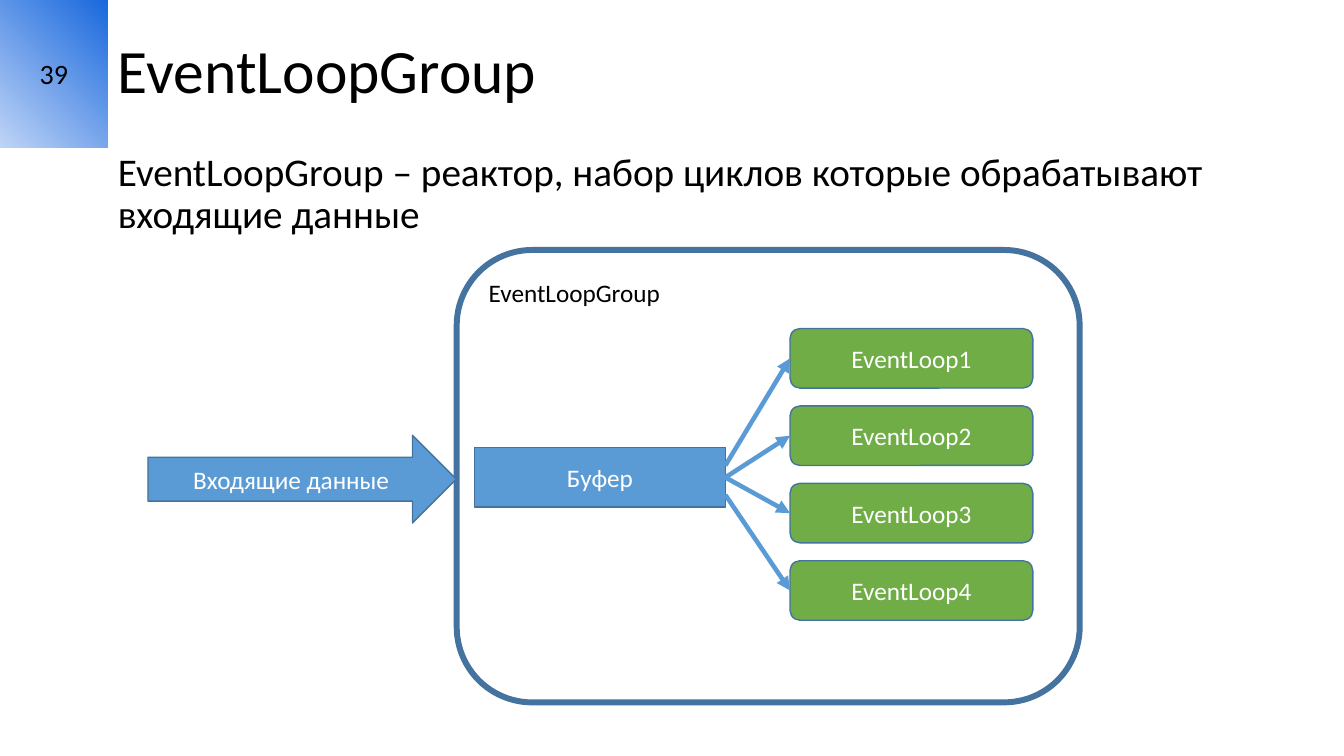
"""Build the EventLoopGroup reactor slide."""
from lxml.etree import SubElement
from pptx import Presentation
from pptx.dml.color import RGBColor
from pptx.enum.shapes import MSO_CONNECTOR, MSO_SHAPE
from pptx.enum.text import MSO_ANCHOR, PP_ALIGN
from pptx.oxml.ns import qn
from pptx.util import Cm, Pt

TITLE = "EventLoopGroup"
BODY = "EventLoopGroup – реактор, набор циклов которые обрабатывают входящие данные"
PAGE_NUMBER = "39"
GROUP = "EventLoopGroup"
INCOMING = "Входящие данные"
BUFFER = "Буфер"
LOOPS = ["EventLoop1", "EventLoop2", "EventLoop3", "EventLoop4"]
ARROW_START_OFFSETS = [-0.3, 0, 0, 0.44]

FONT = "Calibri"
BLACK = RGBColor(0x00, 0x00, 0x00)
WHITE = RGBColor(0xFF, 0xFF, 0xFF)
BLUE = RGBColor(0x5B, 0x9B, 0xD5)
OUTLINE = RGBColor(0x43, 0x73, 0x9E)
GREEN = RGBColor(0x70, 0xAD, 0x47)
BADGE_DARK = RGBColor(0x19, 0x68, 0xDD)
BADGE_LIGHT = RGBColor(0xBE, 0xD4, 0xF6)

PAGE_WIDTH, PAGE_HEIGHT = 33.87, 19.05
BADGE_WIDTH, BADGE_HEIGHT = 2.72, 3.71
TEXT_WIDTH = PAGE_WIDTH - BADGE_WIDTH
BUFFER_LEFT, BUFFER_TOP, BUFFER_WIDTH = 11.96, 11.28, 6.32
NODE_HEIGHT = 1.5
LOOP_LEFT, LOOP_TOP, LOOP_WIDTH, LOOP_PITCH = 19.91, 8.28, 6.12, 1.95


def write(box, text, size, color, align=PP_ALIGN.LEFT, anchor=MSO_ANCHOR.MIDDLE, spacing=1.0):
    frame = box.text_frame
    frame.word_wrap = True
    frame.vertical_anchor = anchor
    para = frame.paragraphs[0]
    para.alignment = align
    para.line_spacing = spacing
    span = para.add_run()
    span.text = text
    span.font.name = FONT
    span.font.size = Pt(size)
    span.font.color.rgb = color


def add_text(page, area, text, size, anchor):
    box = page.shapes.add_textbox(*map(Cm, area))
    write(box, text, size, BLACK, anchor=anchor, spacing=0.9)


def add_node(page, kind, area, fill, line_width=1):
    node = page.shapes.add_shape(kind, *map(Cm, area))
    node.shadow.inherit = False
    node.fill.solid()
    node.fill.fore_color.rgb = fill
    node.line.color.rgb = OUTLINE
    node.line.width = Pt(line_width)
    return node


def add_badge(page):
    badge = page.shapes.add_shape(
        MSO_SHAPE.RECTANGLE, 0, 0, Cm(BADGE_WIDTH), Cm(BADGE_HEIGHT))
    badge.shadow.inherit = False
    badge.line.fill.background()
    badge.fill.gradient()
    badge.fill.gradient_angle = 225
    for stop, color in zip(badge.fill.gradient_stops, (BADGE_DARK, BADGE_LIGHT)):
        stop.color.rgb = color
    write(badge, PAGE_NUMBER, 20, BLACK, PP_ALIGN.CENTER)


def add_arrow(page, start, end):
    arrow = page.shapes.add_connector(
        MSO_CONNECTOR.STRAIGHT, *map(Cm, (*start, *end)))
    arrow.line.color.rgb = BLUE
    arrow.line.width = Pt(3.25)
    SubElement(arrow.line._get_or_add_ln(), qn("a:tailEnd"), type="triangle")
    SubElement(arrow._element.spPr, qn("a:effectLst"))


def main():
    deck = Presentation()
    deck.slide_width, deck.slide_height = Cm(PAGE_WIDTH), Cm(PAGE_HEIGHT)
    page = deck.slides.add_slide(deck.slide_layouts[6])

    group = add_node(page, MSO_SHAPE.ROUNDED_RECTANGLE, (11.51, 6.3, 15.7, 11.4), WHITE, 4.25)
    write(group, GROUP, 18, BLACK, anchor=MSO_ANCHOR.TOP)
    add_text(page, (BADGE_WIDTH, BADGE_HEIGHT, TEXT_WIDTH, PAGE_HEIGHT - BADGE_HEIGHT),
             BODY, 28, MSO_ANCHOR.TOP)
    add_badge(page)
    add_text(page, (BADGE_WIDTH, 0, TEXT_WIDTH, BADGE_HEIGHT), TITLE, 44, MSO_ANCHOR.MIDDLE)

    nodes = [
        (INCOMING, MSO_SHAPE.RIGHT_ARROW, (3.73, 10.97, 7.77, 2.21), BLUE),
        (BUFFER, MSO_SHAPE.RECTANGLE,
         (BUFFER_LEFT, BUFFER_TOP, BUFFER_WIDTH, NODE_HEIGHT), BLUE),
    ]
    for index, name in enumerate(LOOPS):
        area = (LOOP_LEFT, LOOP_TOP + index * LOOP_PITCH, LOOP_WIDTH, NODE_HEIGHT)
        nodes.append((name, MSO_SHAPE.ROUNDED_RECTANGLE, area, GREEN))
    for name, kind, area, fill in nodes:
        write(add_node(page, kind, area, fill), name, 18, WHITE, PP_ALIGN.CENTER)

    middle = NODE_HEIGHT / 2
    for index, offset in enumerate(ARROW_START_OFFSETS):
        start = (BUFFER_LEFT + BUFFER_WIDTH, BUFFER_TOP + middle + offset)
        end = (LOOP_LEFT, LOOP_TOP + index * LOOP_PITCH + middle)
        add_arrow(page, start, end)

    deck.save("out.pptx")


if __name__ == "__main__":
    main()
